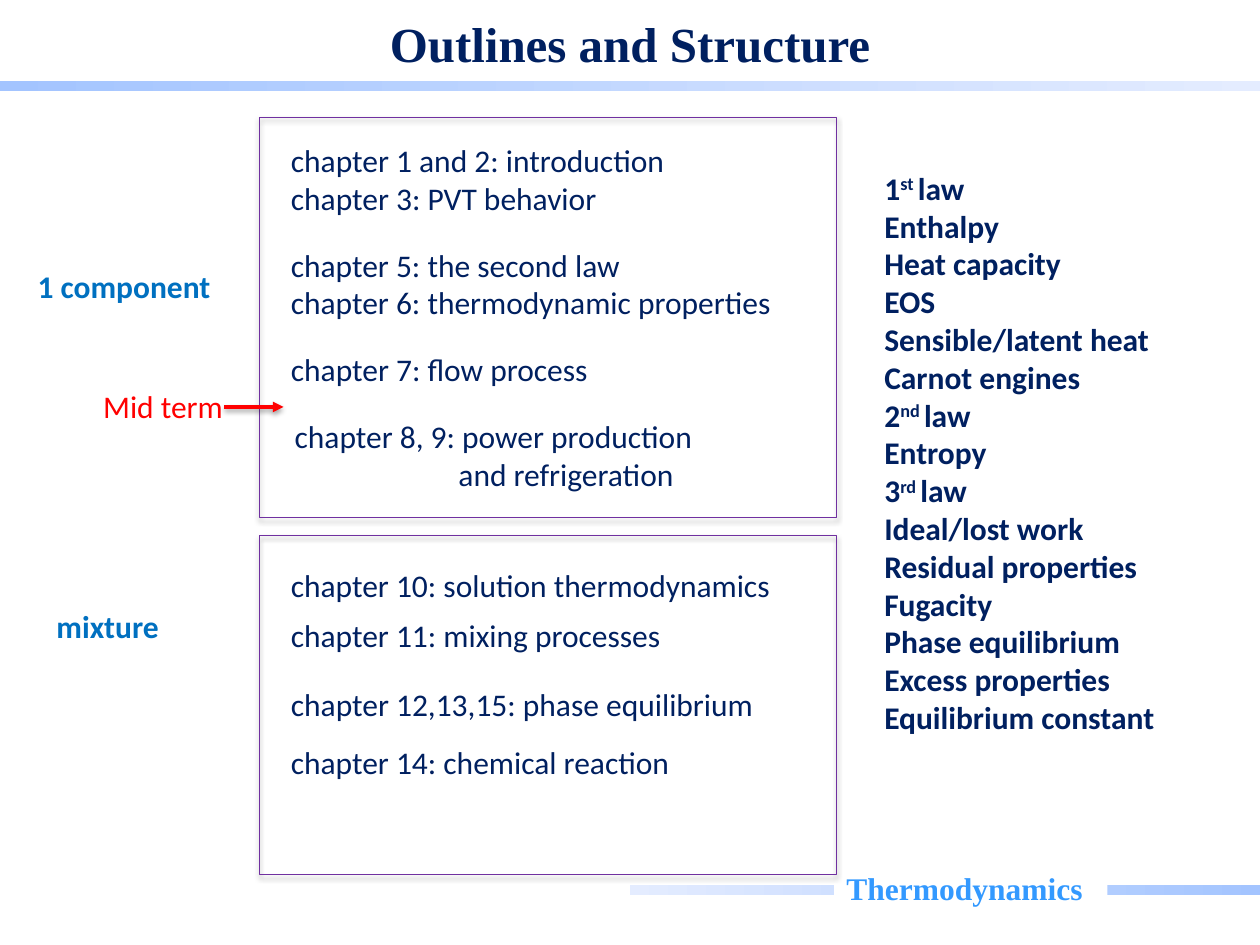
from dataclasses import dataclass

from lxml.etree import SubElement
from pptx import Presentation
from pptx.dml.color import RGBColor
from pptx.enum.shapes import MSO_CONNECTOR, MSO_SHAPE
from pptx.enum.text import MSO_ANCHOR, MSO_AUTO_SIZE, PP_ALIGN
from pptx.oxml.ns import qn
from pptx.util import Inches, Pt

NAVY = RGBColor(0x00, 0x20, 0x60)
BLUE = RGBColor(0x00, 0x70, 0xC0)
SKY = RGBColor(0x33, 0x99, 0xFF)
RED = RGBColor(0xFF, 0x00, 0x00)
PURPLE = RGBColor(0x70, 0x30, 0xA0)
WHITE = RGBColor(0xFF, 0xFF, 0xFF)
BAR_DARK = RGBColor(0xA3, 0xC4, 0xFF)
BAR_LIGHT = RGBColor(0xE4, 0xEC, 0xFF)
SERIF = "Times New Roman"
COLS, ROWS = 100, 75
CELL = Inches(0.1)


@dataclass
class Area:
    col: float
    row: float
    cols: float
    rows: float

    def box(self) -> list[int]:
        return [round(n * CELL) for n in (self.col, self.row, self.cols, self.rows)]


@dataclass
class Label:
    area: Area
    lines: list[str]
    color: RGBColor = NAVY
    bold: bool = False
    wrap: bool = False
    font: str = "Calibri"
    size: int = 18


LEFT = 22.1
CHAPTERS = [
    Label(Area(LEFT, 10.7, 32.1, 7.1), ["chapter 1 and 2: introduction", "chapter 3: PVT behavior"]),
    Label(Area(LEFT, 19, 40.6, 7.1), ["chapter 5: the second law", "chapter 6: thermodynamic properties"]),
    Label(Area(LEFT, 27.3, 25.9, 4), ["chapter 7: flow process"]),
    Label(Area(22.4, 32.6, 34.6, 7.1), ["chapter 8, 9: power production", "and refrigeration"]),
    Label(Area(LEFT, 44.4, 41.7, 4), ["chapter 10: solution thermodynamics"]),
    Label(Area(LEFT, 48.4, 31.7, 4), ["chapter 11: mixing processes"]),
    Label(Area(LEFT, 53.9, 39.2, 4), ["chapter 12,13,15: phase equilibrium"]),
    Label(Area(LEFT, 58.5, 32.4, 4), ["chapter 14: chemical reaction"]),
]
SIDE_LABELS = [
    Label(Area(2, 20.7, 15.8, 4), ["1 component"], BLUE, True, True),
    Label(Area(3.5, 47.7, 10.6, 4), ["mixture"], BLUE, True, True),
    Label(Area(7.2, 30.2, 11.8, 4), ["Mid term"], RED, wrap=True),
]
TOPICS = Label(Area(69.2, 12.9, 26, 46.4), [
    "1^st ^law", "Enthalpy", "Heat capacity", "EOS", "Sensible/latent heat",
    "Carnot engines", "2^nd ^law", "Entropy", "3^rd ^law", "Ideal/lost work",
    "Residual properties", "Fugacity", "Phase equilibrium", "Excess properties",
    "Equilibrium constant",
], bold=True, wrap=True)
TITLE = Label(Area(15.2, 1.7, 69.6, 3.4), ["Outlines and Structure"], NAVY, True, True, SERIF, 28)
FOOTER = Label(Area(66.2, 68.5, 21.7, 4), ["Thermodynamics"], SKY, True, False, SERIF)
BARS = [(Area(0, 6.4, COLS, 0.8), 0), (Area(COLS / 2, 70.2, COLS / 2, 0.8), 180)]
FRAMES = [Area(20.6, 9.3, 45.8, 31.8), Area(20.6, 42.5, 45.8, 26.9)]


def add_shadow(sp, alpha: int, dist: float) -> None:
    """Give a shape or connector a soft black shadow straight below it."""
    spPr = sp._element.spPr
    for old in spPr.findall(qn("a:effectLst")):
        spPr.remove(old)
    shadow = SubElement(SubElement(spPr, qn("a:effectLst")), qn("a:outerShdw"),
                        blurRad=str(Pt(3.1)), dist=str(Pt(dist)), dir="5400000", rotWithShape="0")
    black = SubElement(shadow, qn("a:srgbClr"), val="000000")
    SubElement(black, qn("a:alpha"), val=str(alpha * 1000))


def add_label(s, label: Label):
    """Add a text box; text between carets is superscript."""
    sp = s.shapes.add_textbox(*label.area.box())
    tf = sp.text_frame
    tf.word_wrap = label.wrap
    tf.auto_size = MSO_AUTO_SIZE.SHAPE_TO_FIT_TEXT
    for i, line in enumerate(label.lines):
        p = tf.add_paragraph() if i else tf.paragraphs[0]
        for j, part in enumerate(line.split("^")):
            r = p.add_run()
            r.text = part
            r.font.name, r.font.size = label.font, Pt(label.size)
            r.font.bold, r.font.color.rgb = label.bold, label.color
            if j % 2:
                r._r.get_or_add_rPr().set("baseline", "30000")
    return sp


def add_bar(s, area: Area, angle: int) -> None:
    """Add a gradient bar fading from dark to light."""
    sp = s.shapes.add_shape(MSO_SHAPE.RECTANGLE, *area.box())
    sp.shadow.inherit = False
    sp.line.fill.background()
    sp.fill.gradient()
    sp.fill.gradient_angle = angle
    for stop, color, position in zip(sp.fill.gradient_stops, (BAR_DARK, BAR_LIGHT), (0, 1)):
        stop.color.rgb, stop.position = color, position


def add_frame(s, area: Area) -> None:
    """Add an unfilled purple frame."""
    sp = s.shapes.add_shape(MSO_SHAPE.RECTANGLE, *area.box())
    sp.fill.background()
    sp.line.color.rgb, sp.line.width = PURPLE, Pt(0.75)
    add_shadow(sp, 35, 1.8)


def add_arrow(s, start: float, end: float, row: float) -> None:
    """Add a red horizontal arrow."""
    x1, y, x2, _ = Area(start, row, end, 0).box()
    sp = s.shapes.add_connector(MSO_CONNECTOR.STRAIGHT, x1, y, x2, y)
    sp.line.color.rgb, sp.line.width = RED, Pt(2)
    SubElement(sp.line._get_or_add_ln(), qn("a:tailEnd"), type="triangle")
    add_shadow(sp, 38, 1.6)


def main() -> None:
    """Build the slide and save it."""
    prs = Presentation()
    prs.slide_width, prs.slide_height = COLS * CELL, ROWS * CELL
    s = prs.slides.add_slide(prs.slide_layouts[6])
    for area, angle in BARS:
        add_bar(s, area, angle)
    footer = add_label(s, FOOTER)
    footer.fill.solid()
    footer.fill.fore_color.rgb = WHITE
    title = add_label(s, TITLE).text_frame
    title.auto_size = MSO_AUTO_SIZE.NONE
    title.vertical_anchor = MSO_ANCHOR.MIDDLE
    title.paragraphs[0].alignment = PP_ALIGN.CENTER
    for area in FRAMES:
        add_frame(s, area)
    for label in [*SIDE_LABELS, *CHAPTERS, TOPICS]:
        sp = add_label(s, label)
        for p in sp.text_frame.paragraphs:
            if p.text.startswith("and "):
                p._p.get_or_add_pPr().set("marL", str(13 * CELL))
    add_arrow(s, 17.8, 22.5, 32.3)
    prs.save("out.pptx")


if __name__ == "__main__":
    main()
